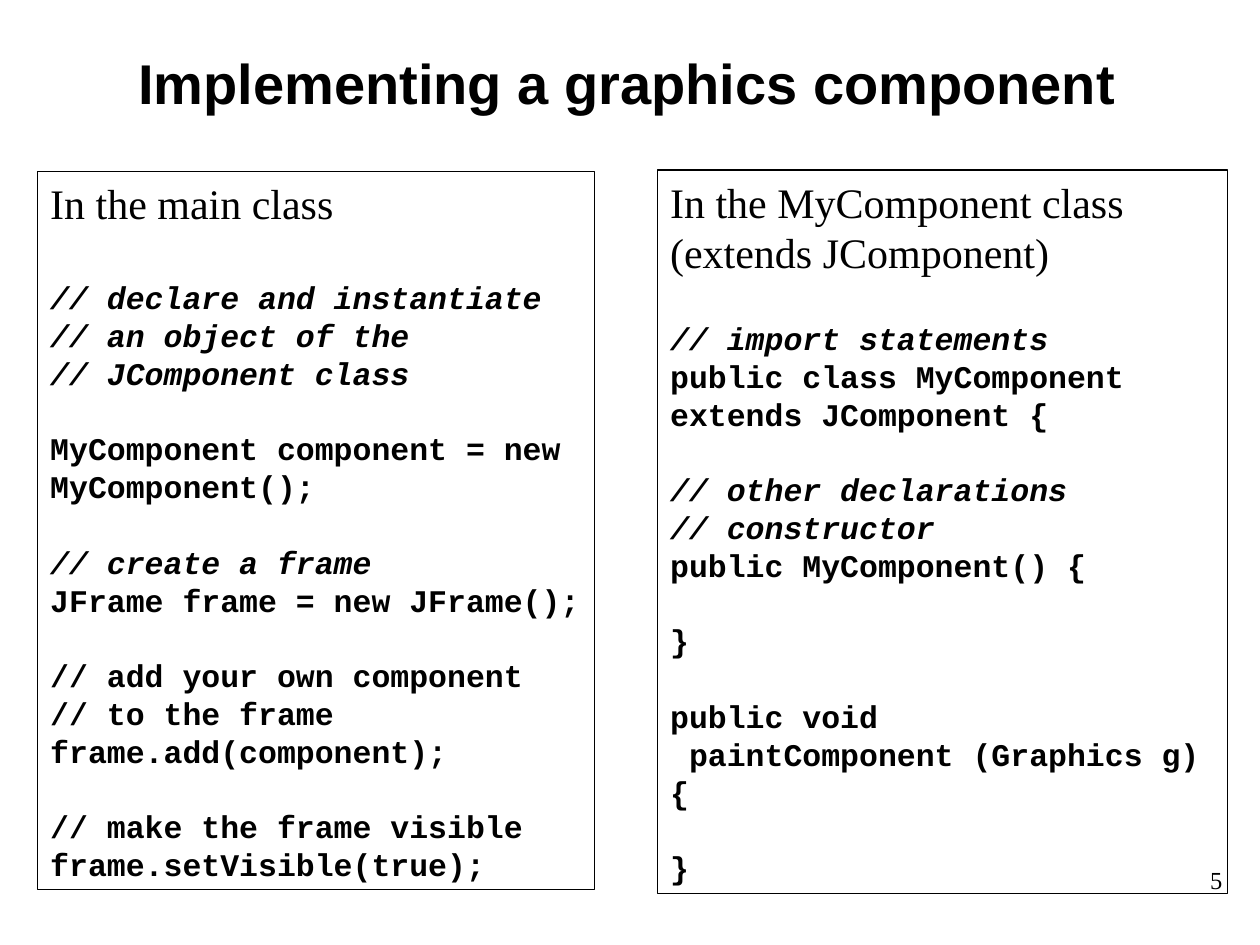
from pptx import Presentation
from pptx.dml.color import RGBColor
from pptx.enum.shapes import MSO_SHAPE
from pptx.enum.text import MSO_ANCHOR, PP_ALIGN
from pptx.util import Inches, Pt

BLACK = RGBColor(0, 0, 0)
LINE_HEIGHT = 1.2  # line pitch as a multiple of the font size

# Content: each panel has a heading and blocks of (style, line)
TITLE = "Implementing a graphics component"
PAGE_NUMBER = "5"
PANELS = [
    {
        "box": (5.22, 1.35, 4.52, 5.74),
        "heading": "In the MyComponent class (extends JComponent)",
        "heading_gap": 20,
        "blocks": [
            [("comment", "// import statements"),
             ("code", "public class MyComponent extends JComponent {")],
            [("comment", "// other declarations"),
             ("comment", "// constructor"),
             ("code", "public MyComponent() {")],
            [("code", "}")],
            [("code", "public void"),
             ("code", " paintComponent (Graphics g)"),
             ("code", "{")],
            [("code", "}")],
        ],
    },
    {
        "box": (0.3, 1.36, 4.42, 5.7),
        "heading": "In the main class",
        "heading_gap": 24,
        "blocks": [
            [("comment", "// declare and instantiate"),
             ("comment", "// an object of the"),
             ("comment", "// JComponent class")],
            [("code", "MyComponent component = new MyComponent();")],
            [("comment", "// create a frame"),
             ("code", "JFrame frame = new JFrame();")],
            [("code", "// add your own component"),
             ("code", "// to the frame"),
             ("code", "frame.add(component);")],
            [("code", "// make the frame visible"),
             ("code", "frame.setVisible(true);")],
        ],
    },
]
STYLES = {
    "title": {"name": "Arial", "size": Pt(32), "bold": True},
    "heading": {"name": "Times New Roman", "size": Pt(24), "bold": False},
    "comment": {"name": "Courier New", "size": Pt(18), "bold": True, "italic": True},
    "code": {"name": "Courier New", "size": Pt(18), "bold": True, "italic": False},
    "number": {"name": "Times New Roman", "size": Pt(14)},
}


def write(paragraph, text, style, align=PP_ALIGN.LEFT):
    run = paragraph.add_run()
    run.text = text
    for key, value in STYLES[style].items():
        setattr(run.font, key, value)
    run.font.color.rgb = BLACK
    paragraph.alignment = align


def set_frame(frame, anchor):
    settings = {"word_wrap": True, "vertical_anchor": anchor,
                "margin_left": Inches(0.1), "margin_right": Inches(0.1),
                "margin_top": Inches(0.05), "margin_bottom": Inches(0.05)}
    for key, value in settings.items():
        setattr(frame, key, value)


def add_panel(slide, panel):
    shape = slide.shapes.add_shape(MSO_SHAPE.RECTANGLE, *map(Inches, panel["box"]))
    shape.shadow.inherit = False
    shape.fill.background()
    shape.line.color.rgb = BLACK
    shape.line.width = Pt(0.74)
    frame = shape.text_frame
    set_frame(frame, MSO_ANCHOR.TOP)

    # Heading first, then code blocks set apart by one line
    lines = [("heading", panel["heading"], 0)]
    for block_index, block in enumerate(panel["blocks"]):
        gap = 18 if block_index else panel["heading_gap"]
        for line_index, (style, text) in enumerate(block):
            lines.append((style, text, 0 if line_index else gap))
    for index, (style, text, gap) in enumerate(lines):
        paragraph = frame.add_paragraph() if index else frame.paragraphs[0]
        write(paragraph, text, style)
        paragraph.space_before = Pt(gap * LINE_HEIGHT)
        paragraph.line_spacing = Pt(STYLES[style]["size"].pt * LINE_HEIGHT)


presentation = Presentation()
presentation.slide_width = Inches(10)
presentation.slide_height = Inches(7.5)
slide = presentation.slides.add_slide(presentation.slide_layouts[5])

# Title
title = slide.shapes.title
title.left, title.top, title.width, title.height = map(Inches, (0.73, 0.23, 8.5, 0.84))
set_frame(title.text_frame, MSO_ANCHOR.MIDDLE)
write(title.text_frame.paragraphs[0], TITLE, "title", PP_ALIGN.CENTER)

# Page number
number = slide.shapes.add_textbox(*map(Inches, (8.39, 6.82, 1.41, 0.5)))
set_frame(number.text_frame, MSO_ANCHOR.TOP)
write(number.text_frame.paragraphs[0], PAGE_NUMBER, "number", PP_ALIGN.RIGHT)

# Code panels
for panel in PANELS:
    add_panel(slide, panel)

presentation.save("out.pptx")
